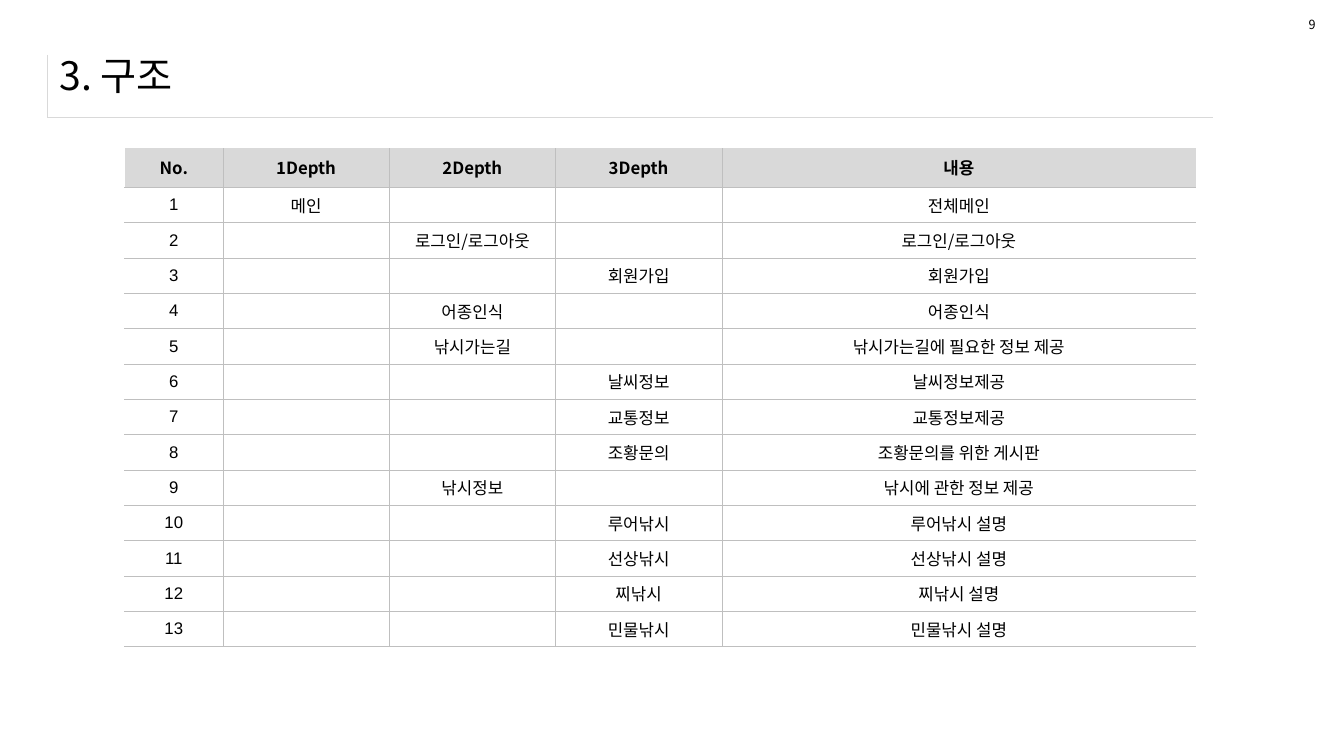
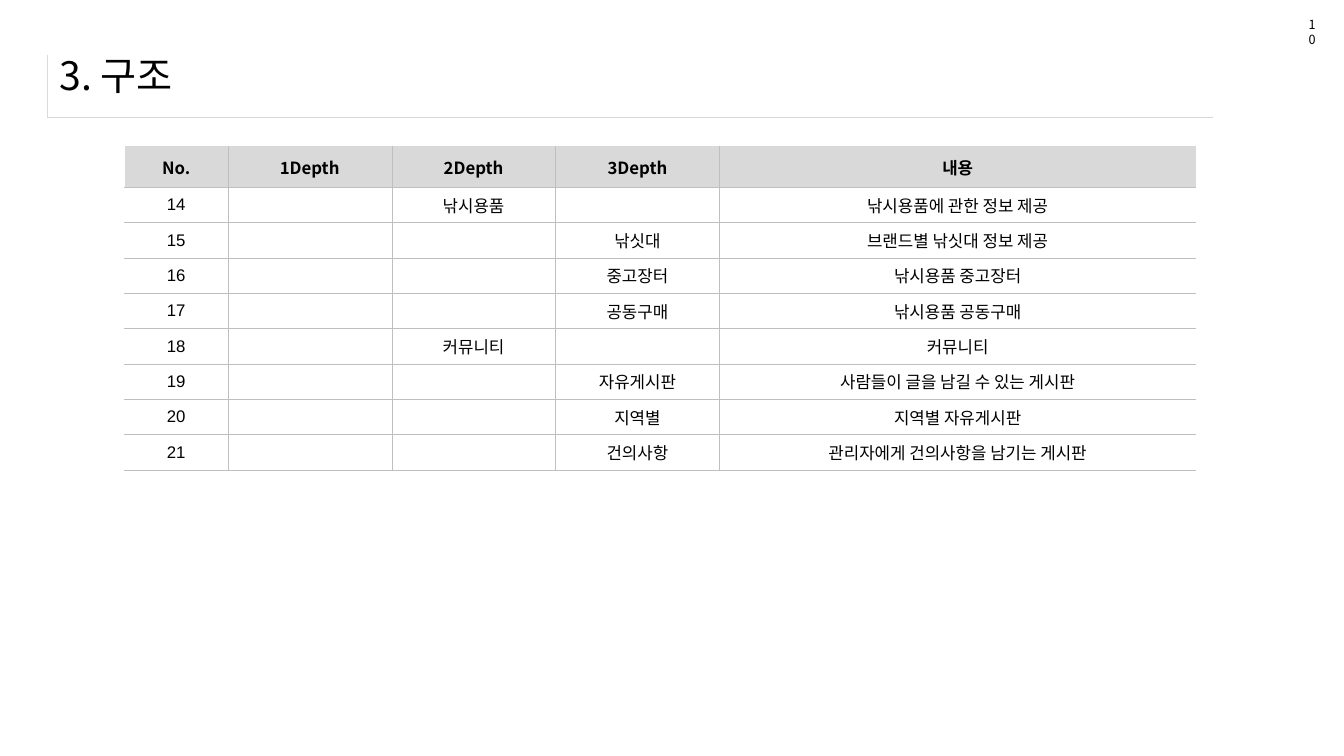
from collections import namedtuple

from lxml.etree import SubElement
from pptx import Presentation
from pptx.dml.color import RGBColor
from pptx.enum.text import MSO_ANCHOR, PP_ALIGN
from pptx.oxml.ns import qn
from pptx.util import Cm, Pt

Box = namedtuple("Box", "left top width height")

COLORS = {
    "text": "000000",
    "edge": "FFFFFF",
    "grid": "BFBFBF",
    "header": "D9D9D9",
    "frame": "D9D9D9",
}
SANS = "Noto Sans CJK KR"
ARIAL = "Arial"
HEADERS = ["No.", "1Depth", "2Depth", "3Depth", "내용"]
ARIAL_NAMES = {"메인", "어종인식", "낚시가는길", "낚시정보", "커뮤니티"}

FRAME = Box(1.2, 1.38, 29.37, 1.58)
TITLE = Box(1.25, 1.04, 31.72, 1.7)
NUMBER = Box(32.73, 0.3, 0.69, 0.64)
BODY_TOP = 4.72
ROW_HEIGHT = 0.89

PAGES = [
    {
        "number": 9,
        "first": 1,
        "header_height": 0.99,
        "number_width": 2.48,
        "depth_width": 4.19,
        "entries": [
            (1, "메인", "전체메인"),
            (2, "로그인/로그아웃", "로그인/로그아웃"),
            (3, "회원가입", "회원가입"),
            (2, "어종인식", "어종인식"),
            (2, "낚시가는길", "낚시가는길에 필요한 정보 제공"),
            (3, "날씨정보", "날씨정보제공"),
            (3, "교통정보", "교통정보제공"),
            (3, "조황문의", "조황문의를 위한 게시판"),
            (2, "낚시정보", "낚시에 관한 정보 제공"),
            (3, "루어낚시", "루어낚시 설명"),
            (3, "선상낚시", "선상낚시 설명"),
            (3, "찌낚시", "찌낚시 설명"),
            (3, "민물낚시", "민물낚시 설명"),
        ],
    },
    {
        "number": 10,
        "first": 14,
        "header_height": 1.03,
        "number_width": 2.6,
        "depth_width": 4.13,
        "entries": [
            (2, "낚시용품", "낚시용품에 관한 정보 제공"),
            (3, "낚싯대", "브랜드별 낚싯대 정보 제공"),
            (3, "중고장터", "낚시용품 중고장터"),
            (3, "공동구매", "낚시용품 공동구매"),
            (2, "커뮤니티", "커뮤니티"),
            (3, "자유게시판", "사람들이 글을 남길 수 있는 게시판"),
            (3, "지역별", "지역별 자유게시판"),
            (3, "건의사항", "관리자에게 건의사항을 남기는 게시판"),
        ],
    },
]


def color(name):
    """Return the named palette colour."""
    return RGBColor.from_string(COLORS[name])


def lengths(box):
    """Return the four lengths of a box given in centimetres."""
    return [Cm(value) for value in box]


def write(frame, text, size, font=SANS, bold=False, align=PP_ALIGN.LEFT):
    """Write one styled paragraph into a text frame."""
    para = frame.paragraphs[0]
    para.text = text
    para.alignment = align
    para.font.size = Pt(size)
    para.font.bold = bold
    para.font.name = font
    para.font.color.rgb = color("text")
    properties = para._p.pPr.find(qn("a:defRPr"))
    SubElement(properties, qn("a:ea")).set("typeface", SANS)


def add_label(page, box, text, size, anchor):
    """Add a wrapping text box."""
    frame = page.shapes.add_textbox(*lengths(box)).text_frame
    frame.word_wrap = True
    frame.vertical_anchor = anchor
    write(frame, text, size)


def add_plain_table(page, box, rows, columns):
    """Add a table without header or band styling."""
    table = page.shapes.add_table(rows, columns, *lengths(box)).table
    table.first_row = table.horz_banding = False
    return table


def add_border(cell, side, name, width=0.25):
    """Set one cell border, or clear it when no colour is named."""
    line = SubElement(cell._tc.get_or_add_tcPr(), qn(f"a:ln{side}"))
    line.set("w", str(Pt(width)))
    if name is None:
        SubElement(line, qn("a:noFill"))
        return
    fill = SubElement(line, qn("a:solidFill"))
    SubElement(fill, qn("a:srgbClr")).set("val", COLORS[name])


def add_frame(page, box):
    """Add the one-cell table ruled on its left and bottom."""
    cell = add_plain_table(page, box, 1, 1).cell(0, 0)
    for side, name in zip("LRTB", ("frame", None, None, "frame")):
        add_border(cell, side, name)
    cell.fill.background()


def style_cell(cell, row, column):
    """Give a cell its borders, fill and anchor by its place in the grid."""
    last = column == len(HEADERS) - 1
    if column == 0:
        add_border(cell, "L", "edge", 1)
    else:
        add_border(cell, "L", "grid")
    add_border(cell, "R", None if last else "grid")
    add_border(cell, "T", "grid" if row else None)
    add_border(cell, "B", "grid")
    if row:
        cell.fill.background()
    else:
        cell.fill.solid()
        cell.fill.fore_color.rgb = color("header")
    cell.vertical_anchor = MSO_ANCHOR.MIDDLE
    cell.margin_top = cell.margin_bottom = 0


def cell_font(row, column, text):
    """Return the Latin font of a cell."""
    named = column < len(HEADERS) - 1 and text in ARIAL_NAMES
    return ARIAL if row and (column == 0 or named) else SANS


def table_rows(content):
    """Place each entry's name in the column of its depth."""
    rows = [HEADERS]
    for number, (depth, name, note) in enumerate(
            content["entries"], content["first"]):
        names = [name if level == depth else "" for level in (1, 2, 3)]
        rows.append([str(number), *names, note])
    return rows


def add_structure(page, box, content):
    """Add the table of site levels."""
    rows = table_rows(content)
    table = add_plain_table(page, box, len(rows), len(HEADERS))
    widths = [content["number_width"]] + [content["depth_width"]] * 3
    widths.append(box.width - sum(widths))
    for column, width in zip(table.columns, widths):
        column.width = Cm(width)
    for index, values in enumerate(rows):
        table.rows[index].height = Cm(
            ROW_HEIGHT if index else content["header_height"])
        for column, text in enumerate(values):
            cell = table.cell(index, column)
            style_cell(cell, index, column)
            write(cell.text_frame, text, 12, cell_font(index, column, text),
                  index == 0, PP_ALIGN.CENTER)


def add_page(deck, content):
    """Add one slide with its title, page number and table."""
    page = deck.slides.add_slide(deck.slide_layouts[6])
    add_frame(page, FRAME)
    add_label(page, TITLE, "3. 구조", 28, MSO_ANCHOR.MIDDLE)
    add_label(page, NUMBER, str(content["number"]), 9, MSO_ANCHOR.TOP)
    header = content["header_height"]
    height = header + ROW_HEIGHT * len(content["entries"])
    add_structure(page, Box(3.14, BODY_TOP - header, 27, height), content)


def main():
    """Build and save the deck."""
    deck = Presentation()
    deck.slide_width, deck.slide_height = Cm(33.87), Cm(19.05)
    for content in PAGES:
        add_page(deck, content)
    deck.save("out.pptx")


main()
